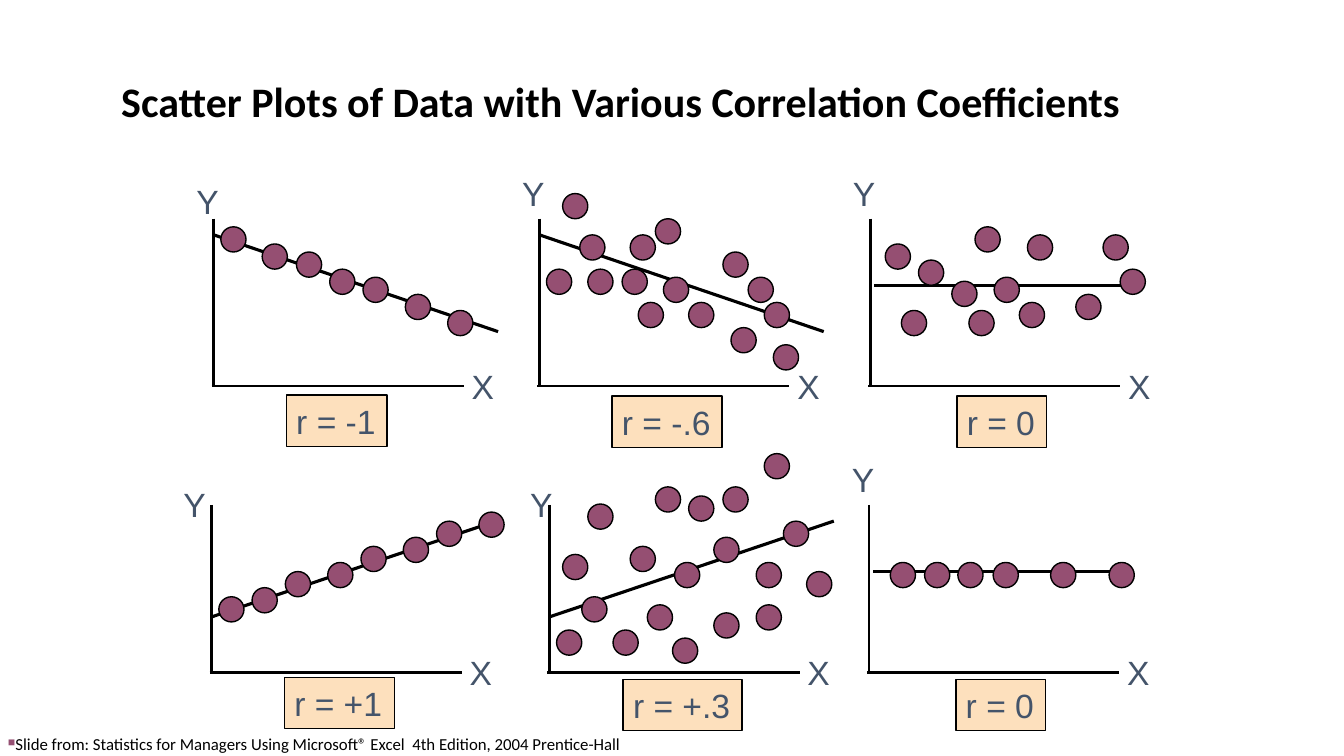
from lxml import etree
from pptx import Presentation
from pptx.dml.color import RGBColor
from pptx.enum import shapes, text
from pptx.oxml import ns
from pptx.util import Inches, Pt

COLORS = {"ink": "000000", "label": "44546A", "dot": "954F72", "badge": "FDE0BD"}

AXIS_HEIGHT = 1.66
AXIS_WIDTH = 2.5
DOT_SIZE = 0.25
FALLING = ((0, 0.16), (2.82, 1.12))
RISING = ((0, 1.11), (2.82, 0.16))
FLAT = ((0.04, 0.66), (2.54, 0.66))

PANELS = [
    dict(corner=(2.12, 2.17), y_label=(-0.27, -0.42), trend=FALLING,
         badge=("r = -1", 0.72, 1.75, 1),
         dots=[(0.07, 0.08), (0.48, 0.25), (0.82, 0.33), (1.15, 0.5),
               (1.48, 0.58), (1.9, 0.75), (2.32, 0.91)]),
    dict(corner=(5.35, 2.17), y_label=(-0.27, -0.5), trend=FALLING,
         badge=("r = -.6", 0.72, 1.76, 1.09),
         dots=[(0.07, 0.5), (0.23, -0.25), (0.4, 0.16), (0.48, 0.5), (0.82, 0.5),
               (0.9, 0.16), (0.98, 0.83), (1.15, 0), (1.23, 0.58), (1.48, 0.83),
               (1.82, 0.33), (1.9, 1.08), (2.07, 0.58), (2.23, 0.83), (2.32, 1.25)]),
    dict(corner=(8.63, 2.17), y_label=(-0.27, -0.5), trend=FLAT,
         badge=("r = 0", 0.86, 1.76, 0.89),
         dots=[(0.15, 0.25), (0.31, 0.91), (0.48, 0.41), (0.81, 0.62),
               (0.98, 0.91), (1.04, 0.08), (1.23, 0.58), (1.48, 0.83),
               (1.56, 0.16), (2.04, 0.75), (2.31, 0.16), (2.48, 0.5)]),
    dict(corner=(2.1, 5.01), y_label=(-0.38, -0.26), trend=RISING,
         badge=("r = +1", 0.72, 1.71, 1.09),
         dots=[(0.07, 0.91), (0.4, 0.82), (0.73, 0.66), (1.15, 0.57),
               (1.48, 0.41), (1.9, 0.32), (2.23, 0.16), (2.65, 0.07)]),
    dict(corner=(5.45, 5.01), y_label=(-0.29, -0.26), trend=RISING,
         badge=("r = +.3", 0.73, 1.73, 1.18),
         dots=[(0.07, 1.24), (0.13, 0.49), (0.32, 0.91), (0.38, -0.01), (0.63, 1.24),
               (0.8, 0.41), (0.97, 0.99), (1.05, -0.18), (1.22, 1.32), (1.24, 0.57),
               (1.38, -0.09), (1.63, 0.32), (1.63, 1.07), (1.72, -0.18), (2.05, 0.57),
               (2.05, 0.99), (2.13, -0.51), (2.32, 0.16), (2.55, 0.66)]),
    dict(corner=(8.62, 5.01), y_label=(-0.27, -0.51), trend=FLAT,
         badge=("r = 0", 0.86, 1.73, 0.89),
         dots=[(x, 0.57) for x in (0.21, 0.55, 0.88, 1.23, 1.8, 2.38)]),
]


def color(name):
    return RGBColor.from_string(COLORS[name])


def set_font(paragraph, name, size, ink, bold=False):
    paragraph.font.name = name
    paragraph.font.size = Pt(size)
    paragraph.font.bold = bold
    paragraph.font.color.rgb = color(ink)


def write_label(shape, wording):
    frame = shape.text_frame
    frame.text = wording
    frame.word_wrap = False
    frame.auto_size = text.MSO_AUTO_SIZE.SHAPE_TO_FIT_TEXT
    frame.paragraphs[0].alignment = text.PP_ALIGN.LEFT
    set_font(frame.paragraphs[0], "Arial", 24, "label")


def add_line(slide, start, end, weight):
    line = slide.shapes.add_connector(
        shapes.MSO_CONNECTOR.STRAIGHT, *map(Inches, (*start, *end)))
    line.line.color.rgb = color("ink")
    line.line.width = Pt(weight)
    etree.SubElement(line._element.spPr, ns.qn("a:effectLst"))


def add_outlined(slide, kind, fill, *box):
    shape = slide.shapes.add_shape(kind, *map(Inches, box))
    shape.shadow.inherit = False
    shape.fill.solid()
    shape.fill.fore_color.rgb = color(fill)
    shape.line.color.rgb = color("ink")
    shape.line.width = Pt(1)
    return shape


def add_axis_label(slide, wording, left, top):
    label = slide.shapes.add_textbox(
        Inches(left), Inches(top), Inches(0.42), Inches(0.5))
    write_label(label, wording)


def add_panel(slide, corner, y_label, trend, badge, dots):
    left, top = corner
    base = top + AXIS_HEIGHT
    add_line(slide, corner, (left, base), 2)
    add_line(slide, (left - 0.02, base), (left - 0.02 + AXIS_WIDTH, base), 2)
    start, end = ((left + x, top + y) for x, y in trend)
    add_line(slide, start, end, 2 if trend is FLAT else 2.25)
    for x, y in dots:
        add_outlined(slide, shapes.MSO_SHAPE.OVAL, "dot",
                     left + x, top + y, DOT_SIZE, DOT_SIZE)
    add_axis_label(slide, "Y", left + y_label[0], top + y_label[1])
    add_axis_label(slide, "X", left + 2.46, base - 0.25)
    coefficient, x, y, width = badge
    write_label(add_outlined(slide, shapes.MSO_SHAPE.RECTANGLE, "badge",
                             left + x, top + y, width, 0.51), coefficient)


def add_title(slide, left, top, width, height):
    title = slide.shapes.title
    title.left, title.top, title.width, title.height = map(
        Inches, (left, top, width, height))
    frame = title.text_frame
    frame.text = "Scatter Plots of Data with Various Correlation Coefficients"
    frame.word_wrap = True
    frame.auto_size = text.MSO_AUTO_SIZE.NONE
    frame.vertical_anchor = text.MSO_ANCHOR.MIDDLE
    heading = frame.paragraphs[0]
    heading.alignment = text.PP_ALIGN.CENTER
    heading.line_spacing = 1.5
    set_font(heading, "Calibri", 30, "ink", bold=True)


def add_credit(slide, left, top, width, height):
    credit = slide.shapes.add_textbox(*map(Inches, (left, top, width, height)))
    frame = credit.text_frame
    frame.text = ("Slide from: Statistics for Managers Using Microsoft® Excel  "
                  "4th Edition, 2004 Prentice-Hall")
    frame.word_wrap = False
    frame.auto_size = text.MSO_AUTO_SIZE.SHAPE_TO_FIT_TEXT
    source = frame.paragraphs[0]
    properties = source._p.get_or_add_pPr()
    bullet_color = etree.SubElement(properties, ns.qn("a:buClr"))
    etree.SubElement(bullet_color, ns.qn("a:srgbClr"), val=COLORS["dot"])
    etree.SubElement(properties, ns.qn("a:buSzPct"), val="60000")
    etree.SubElement(properties, ns.qn("a:buChar"), char="■")
    set_font(source, "Calibri", 12, "ink")


def main():
    deck = Presentation()
    deck.slide_width, deck.slide_height = Inches(13.33), Inches(7.5)
    slide = deck.slides.add_slide(deck.slide_layouts[5])
    add_title(slide, 0.88, 0.25, 10.56, 1.25)
    for panel in PANELS:
        add_panel(slide, **panel)
    add_credit(slide, -0.02, 7.23, 6.48, 0.3)
    deck.save("out.pptx")


if __name__ == "__main__":
    main()
